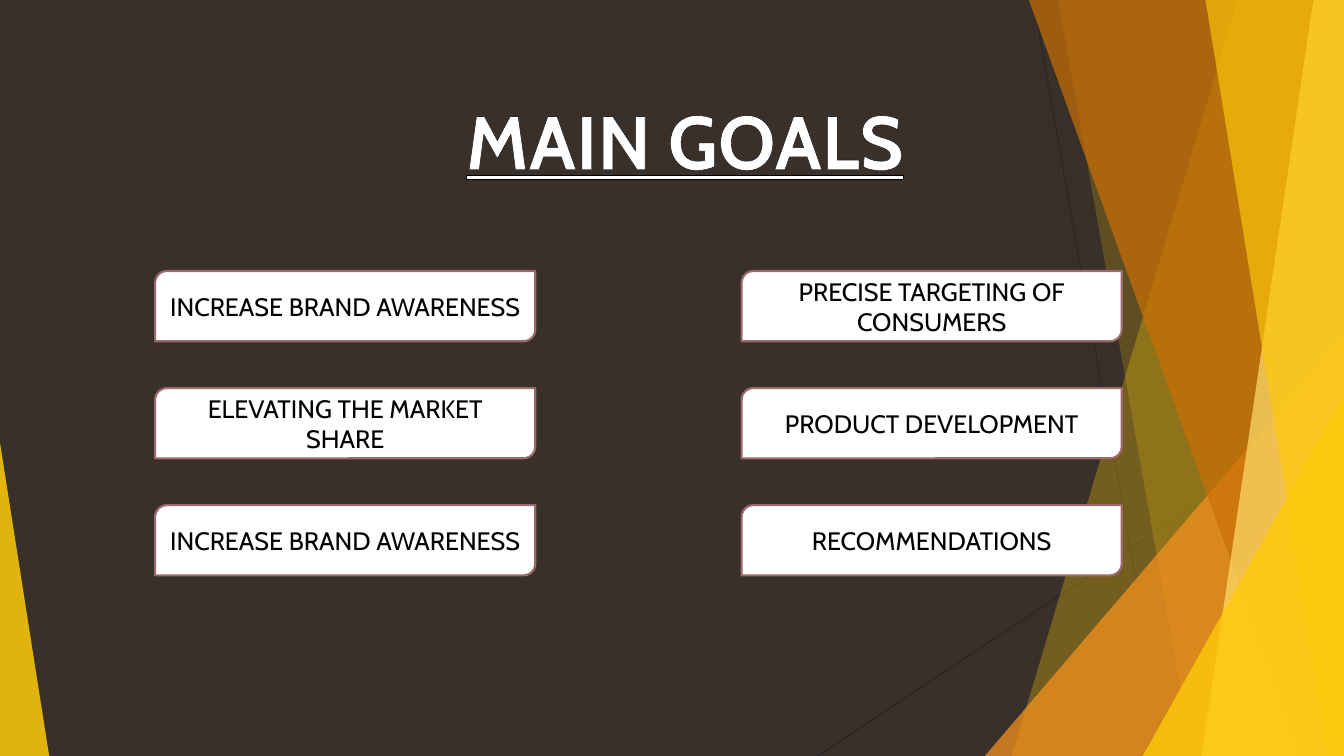
from lxml.etree import SubElement
from pptx import Presentation
from pptx.dml.color import RGBColor
from pptx.enum.shapes import MSO_CONNECTOR, MSO_SHAPE
from pptx.enum.text import MSO_ANCHOR, MSO_AUTO_SIZE, PP_ALIGN
from pptx.oxml import parse_xml
from pptx.oxml.ns import nsdecls, qn
from pptx.util import Cm, Pt

TITLE = "MAIN GOALS"
GOALS = [
    ["INCREASE BRAND AWARENESS", "ELEVATING THE MARKET SHARE", "INCREASE BRAND AWARENESS"],
    ["PRECISE TARGETING OF CONSUMERS", "PRODUCT DEVELOPMENT", "RECOMMENDATIONS"],
]
THEME = {
    "font": "Cabin", "title_size": 54, "goal_size": 18,
    "ground": "39302A", "white": "FFFFFF", "black": "000000",
    "edge": "9C6A6A", "hairline": "262626",
    "gold": "FFCA08", "orange": "F8931D", "brown": "CA6F06", "pale": "FFDF6B",
}
W, H = 33.87, 19.05
HAIRLINES = [(26.04, 0, 29.41, H), (W, 10.24, 20.62, H)]
FACETS = [
    ("band", (31.19, 25.5), "gold", 30),
    ("band", (26.67, 30.05), "gold", 20),
    ("triangle", (24.82, 8.46, W, 1), "orange", 72),
    ("band", (25.93, 32.79), "brown", 70),
    ("band", (33.1, 30.28), "pale", 70),
    ("band", (30.38, 33.48), "gold", 65),
    ("triangle", (28.8, 9.98, W, 1), "gold", 80),
    ("triangle", (0, 11.15, 1.24, 0), "gold", 85),
]
TITLE_BOX = (11.4, 2.24, 11.71, 2.57)
COLUMNS = (3.91, 18.69)
FIRST_TOP, PITCH = 6.83, 2.95
CARD_W, CARD_H = 9.58, 1.77


def color(name):
    return RGBColor.from_string(THEME[name])


def apply(target, values):
    for name, value in values.items():
        setattr(target, name, value)


def paint(sp, fill, alpha=100):
    sp.shadow.inherit = False
    sp.fill.solid()
    sp.fill.fore_color.rgb = color(fill)
    if alpha < 100:
        clr = sp.fill._xPr.find(qn("a:solidFill"))[0]
        SubElement(clr, qn("a:alpha"), val=str(alpha * 1000))


def write(sp, text, size, ink, **font):
    p = sp.text_frame.paragraphs[0]
    p.alignment = PP_ALIGN.CENTER
    r = p.add_run()
    r.text = text
    apply(r.font, {"name": THEME["font"], "size": Pt(THEME[size]), **font})
    r.font.color.rgb = color(ink)
    return r


def add_hairline(s, ends):
    cn = s.shapes.add_connector(MSO_CONNECTOR.STRAIGHT, *map(Cm, ends))
    cn.line.color.rgb = color("hairline")
    cn.line.width = Pt(0.75)
    SubElement(cn._element.spPr, qn("a:effectLst"))


def add_facet(s, kind, geometry, fill, alpha):
    if kind == "band":
        top_x, bottom_x = geometry
        fb = s.shapes.build_freeform(Cm(top_x), 0)
        fb.add_line_segments([(Cm(x), Cm(y)) for x, y in ((W, 0), (W, H), (bottom_x, H))])
        sp = fb.convert_to_shape()
    else:
        left, top, right, apex = geometry
        box = map(Cm, (left, top, right - left, H - top))
        sp = s.shapes.add_shape(MSO_SHAPE.ISOSCELES_TRIANGLE, *box)
        sp.adjustments[0] = apex
    paint(sp, fill, alpha)
    sp.line.fill.background()


def add_title(s):
    sp = s.shapes.title
    apply(sp, dict(zip(("left", "top", "width", "height"), map(Cm, TITLE_BOX))))
    apply(sp.text_frame, {"word_wrap": False, "vertical_anchor": MSO_ANCHOR.TOP,
                          "auto_size": MSO_AUTO_SIZE.SHAPE_TO_FIT_TEXT})
    r = write(sp, TITLE, "title_size", "white", bold=True, underline=True)
    outline = parse_xml(
        f'<a:ln {nsdecls("a")} w="{Pt(0.75)}"><a:solidFill>'
        f'<a:srgbClr val="{THEME["black"]}"/></a:solidFill></a:ln>')
    r.font._element.insert(0, outline)


def add_goal(s, text, left, top):
    box = map(Cm, (left, top, CARD_W, CARD_H))
    sp = s.shapes.add_shape(MSO_SHAPE.ROUND_2_DIAG_RECTANGLE, *box)
    paint(sp, "white")
    sp.line.color.rgb = color("edge")
    sp.line.width = Pt(1.5)
    apply(sp.text_frame, {"word_wrap": True, "vertical_anchor": MSO_ANCHOR.MIDDLE})
    write(sp, text, "goal_size", "black")


def main():
    prs = Presentation()
    apply(prs, {"slide_width": Cm(W), "slide_height": Cm(H)})
    s = prs.slides.add_slide(prs.slide_layouts[5])
    s.background.fill.solid()
    s.background.fill.fore_color.rgb = color("ground")
    for ends in HAIRLINES:
        add_hairline(s, ends)
    for facet in FACETS:
        add_facet(s, *facet)
    add_title(s)
    for left, goals in zip(COLUMNS, GOALS):
        for i, goal in enumerate(goals):
            add_goal(s, goal, left, FIRST_TOP + i * PITCH)
    prs.save("out.pptx")


if __name__ == "__main__":
    main()
